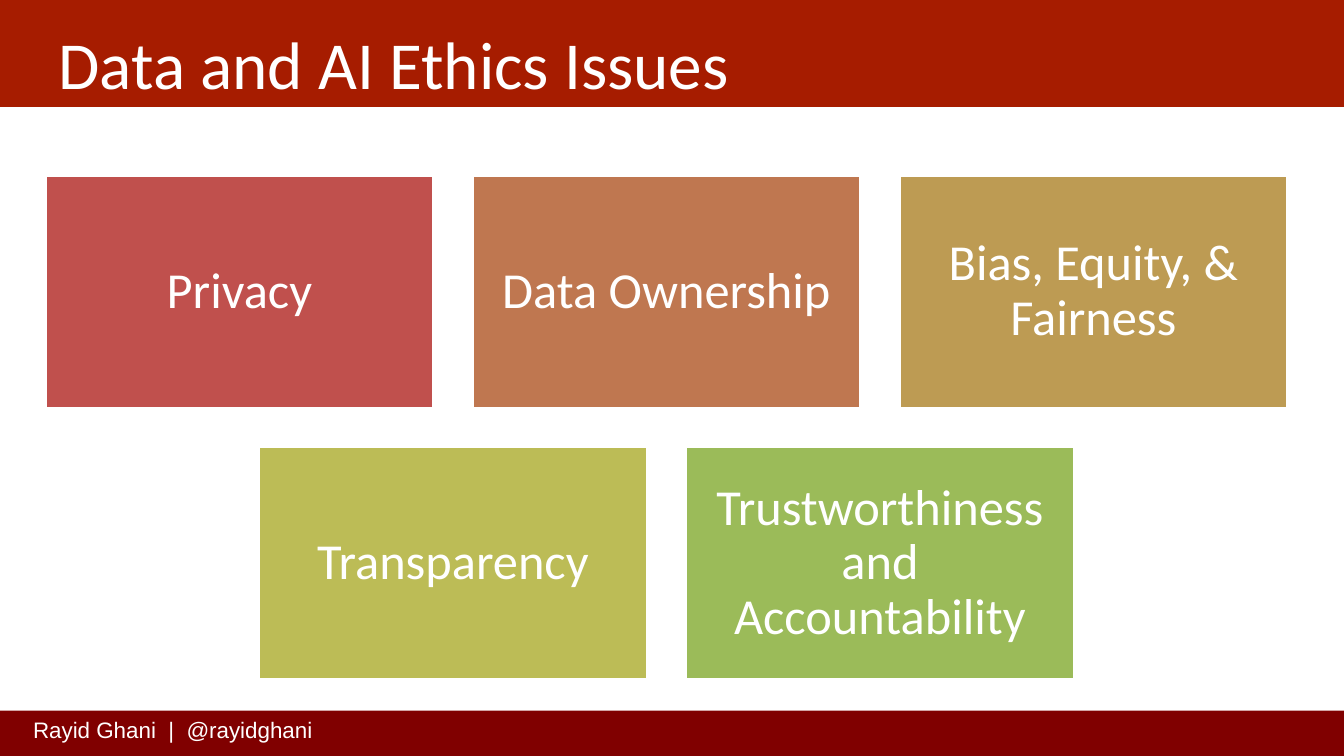
from pptx import Presentation
from pptx.dml.color import RGBColor
from pptx.enum.shapes import MSO_SHAPE
from pptx.enum.text import MSO_ANCHOR, PP_ALIGN
from pptx.util import Inches, Pt

RECTANGLE = MSO_SHAPE.RECTANGLE
TOP, MIDDLE = MSO_ANCHOR.TOP, MSO_ANCHOR.MIDDLE
LEFT, CENTER = PP_ALIGN.LEFT, PP_ALIGN.CENTER

COLORS = {
    "white": "FFFFFF",
    "header": "A61C00",
    "footer": "800000",
    "privacy": "C0504D",
    "ownership": "BF7750",
    "fairness": "BD9B53",
    "transparency": "BCBC56",
    "trust": "9BBB59",
}
ISSUE_ROWS = [
    [("Privacy", "privacy"), ("Data Ownership", "ownership"),
     ("Bias, Equity, & Fairness", "fairness")],
    [("Transparency", "transparency"),
     ("Trustworthiness and Accountability", "trust")],
]
SLIDE_WIDTH, SLIDE_HEIGHT = 13.33, 7.5
CARD_WIDTH, CARD_HEIGHT, CARD_GAP = 3.85, 2.31, 0.385
GRID_CENTER, GRID_TOP = 6.61, 1.74


def color(name):
    return RGBColor.from_string(COLORS[name])


def add_block(page, left, top, width, height, fill):
    block = page.shapes.add_shape(
        RECTANGLE, Inches(left), Inches(top), Inches(width), Inches(height))
    block.shadow.inherit = False
    block.fill.solid()
    block.fill.fore_color.rgb = color(fill)
    block.line.fill.background()
    return block


def set_text(box, text, size, font, insets, anchor=TOP, align=LEFT):
    frame = box.text_frame
    frame.text = text
    frame.word_wrap = True
    frame.vertical_anchor = anchor
    frame.margin_left = frame.margin_right = Inches(insets[0])
    frame.margin_top = frame.margin_bottom = Inches(insets[1])
    para = frame.paragraphs[0]
    para.alignment = align
    para.font.size = Pt(size)
    para.font.name = font
    para.font.color.rgb = color("white")
    return para


def add_label(page, left, top, width, height, text, size, font, insets):
    box = page.shapes.add_textbox(
        Inches(left), Inches(top), Inches(width), Inches(height))
    set_text(box, text, size, font, insets)


def add_card(page, left, top, text, fill):
    card = add_block(page, left, top, CARD_WIDTH, CARD_HEIGHT, fill)
    card.line.color.rgb = color("white")
    card.line.width = Pt(2)
    para = set_text(card, text, 36, "Calibri", (0.15, 0.15), MIDDLE, CENTER)
    para.line_spacing = 0.9


def add_issue_grid(page):
    for row, issues in enumerate(ISSUE_ROWS):
        row_width = len(issues) * (CARD_WIDTH + CARD_GAP) - CARD_GAP
        left = GRID_CENTER - row_width / 2
        top = GRID_TOP + row * (CARD_HEIGHT + CARD_GAP)
        for column, (text, fill) in enumerate(issues):
            add_card(page, left + column * (CARD_WIDTH + CARD_GAP), top, text, fill)


def main():
    deck = Presentation()
    deck.slide_width = Inches(SLIDE_WIDTH)
    deck.slide_height = Inches(SLIDE_HEIGHT)
    page = deck.slides.add_slide(deck.slide_layouts[6])
    add_block(page, 0, 7.05, SLIDE_WIDTH, 0.45, "footer")
    add_label(page, 0.23, 7.06, 3.04, 0.37, "Rayid Ghani  |  @rayidghani",
              16, "Arial", (0.1, 0.05))
    add_block(page, -0.02, -0.04, 13.36, 1.1, "header")
    add_label(page, 0.45, 0.09, 12.42, 0.83, "Data and AI Ethics Issues",
              48, "Calibri", (0.13, 0.13))
    add_issue_grid(page)
    deck.save("out.pptx")


if __name__ == "__main__":
    main()
